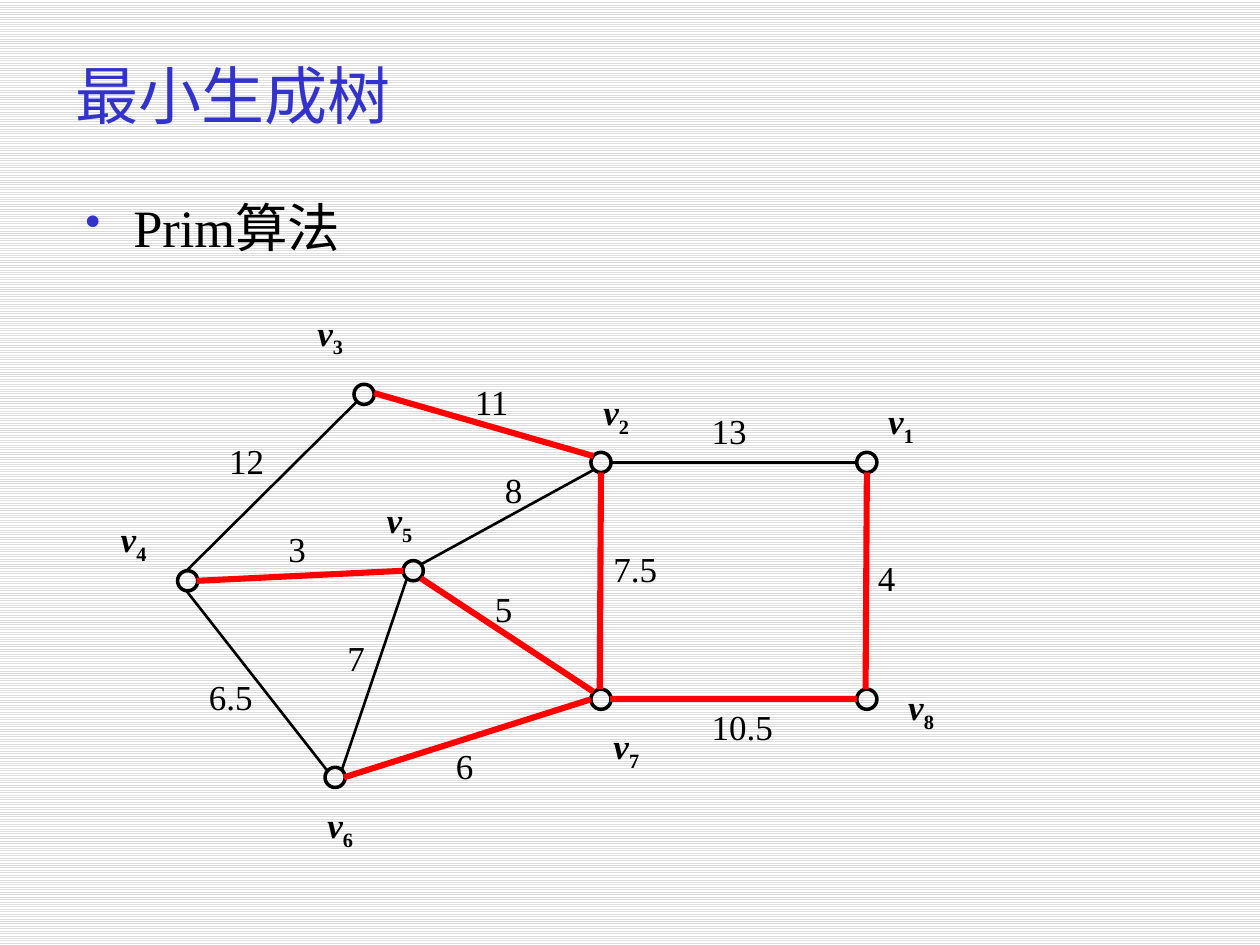
import pptx
import pptx.util
import pptx.dml.color
import pptx.enum.dml
import pptx.enum.shapes
import pptx.enum.text
import pptx.oxml
import pptx.oxml.ns
from pptx.util import Inches

BLACK = pptx.dml.color.RGBColor(0x00, 0x00, 0x00)
RED = pptx.dml.color.RGBColor(0xFF, 0x00, 0x00)
BLUE = pptx.dml.color.RGBColor(0x33, 0x33, 0xCC)
WHITE = pptx.dml.color.RGBColor(0xFF, 0xFF, 0xFF)
STRIPE = pptx.dml.color.RGBColor(0xDD, 0xDD, 0xDD)
FONT = "Times New Roman"
NODE_SIZE = 0.16

presentation = pptx.Presentation()
presentation.slide_width = Inches(10)
presentation.slide_height = Inches(7.5)
slide = presentation.slides.add_slide(presentation.slide_layouts[6])

background = slide.background.fill
background.patterned()
background.pattern = pptx.enum.dml.MSO_PATTERN.LIGHT_HORIZONTAL
background.fore_color.rgb = STRIPE
background.back_color.rgb = WHITE


def add_text(left, top, width, height, wrap=False):
    box = slide.shapes.add_textbox(Inches(left), Inches(top), Inches(width), Inches(height))
    box.text_frame.word_wrap = wrap
    return box.text_frame


def add_run(paragraph, text, size, color=BLACK, bold=False, italic=False):
    run = paragraph.add_run()
    run.text = text
    run.font.name = FONT
    run.font.size = pptx.util.Pt(size)
    run.font.color.rgb = color
    run.font.bold = bold
    run.font.italic = italic
    return run


title = add_text(0.5, 0.25, 8.5, 1, wrap=True)
title.vertical_anchor = pptx.enum.text.MSO_ANCHOR.MIDDLE
add_run(title.paragraphs[0], "最小生成树", 36, BLUE)

body = add_text(0.58, 1.5, 8.5, 5.33, wrap=True)
bullet_paragraph = body.paragraphs[0]
add_run(bullet_paragraph, "Prim算法", 30)
bullet_paragraph.space_before = pptx.util.Pt(6)
properties = bullet_paragraph._p.get_or_add_pPr()
properties.set("marL", str(Inches(0.38)))
properties.set("indent", str(Inches(-0.38)))
namespace = pptx.oxml.ns.nsdecls("a")
for bullet in (
    f'<a:buClr {namespace}><a:srgbClr val="{BLUE}"/></a:buClr>',
    f'<a:buSzPct {namespace} val="85000"/>',
    f'<a:buChar {namespace} char="•"/>',
):
    properties.append(pptx.oxml.parse_xml(bullet))

nodes = [
    ("3", 2.81, 3.05, 2.42, 2.42),
    ("2", 4.69, 3.59, 4.69, 3.05),
    ("1", 6.8, 3.59, 6.95, 3.12),
    ("8", 6.8, 5.47, 7.11, 5.39),
    ("7", 4.69, 5.47, 4.77, 5.7),
    ("6", 2.58, 6.09, 2.5, 6.33),
    ("4", 1.41, 4.53, 0.86, 4.06),
    ("5", 3.2, 4.45, 2.97, 3.91),
]
for index, left, top, label_left, label_top in nodes:
    node = slide.shapes.add_shape(
        pptx.enum.shapes.MSO_SHAPE.OVAL,
        Inches(left), Inches(top), Inches(NODE_SIZE), Inches(NODE_SIZE))
    node.shadow.inherit = False
    node.fill.background()
    node.line.color.rgb = BLACK
    node.line.width = pptx.util.Pt(2)

    label = add_text(label_left, label_top, 0.42, 0.44).paragraphs[0]
    add_run(label, "v", 20, bold=True, italic=True)
    subscript = add_run(label, index, 20, bold=True)
    subscript.font._element.set("baseline", "-25000")

other_edges = [
    ("13", 4.84, 3.67, 6.8, 3.67, 5.55, 3.2, 0.48),
    ("12", 2.84, 3.18, 1.48, 4.53, 1.72, 3.44, 0.48),
    ("8", 3.34, 4.48, 4.71, 3.73, 3.91, 3.67, 0.34),
    ("6.5", 1.48, 4.69, 2.6, 6.12, 1.56, 5.31, 0.55),
    ("7", 2.71, 6.12, 3.23, 4.59, 2.66, 5, 0.36),
]
tree_edges = [
    ("4", 6.88, 3.75, 6.87, 5.47, 6.87, 4.37, 0.34),
    ("10.5", 4.84, 5.55, 6.8, 5.55, 5.55, 5.55, 0.69),
    ("5", 3.34, 4.59, 4.71, 5.49, 3.83, 4.61, 0.34),
    ("3", 1.56, 4.61, 3.2, 4.53, 2.19, 4.14, 0.34),
    ("6", 2.73, 6.17, 4.69, 5.55, 3.52, 5.86, 0.34),
    ("7.5", 4.76, 5.47, 4.77, 3.75, 4.77, 4.3, 0.55),
    ("11", 4.71, 3.62, 2.97, 3.12, 3.67, 2.97, 0.47),
]
for edges, color, line_width in ((other_edges, BLACK, 1.5), (tree_edges, RED, 3.5)):
    for weight, x1, y1, x2, y2, label_left, label_top, label_width in edges:
        edge = slide.shapes.add_connector(
            pptx.enum.shapes.MSO_CONNECTOR.STRAIGHT,
            Inches(x1), Inches(y1), Inches(x2), Inches(y2))
        edge.line.color.rgb = color
        edge.line.width = pptx.util.Pt(line_width)
        edge._element.spPr.append(pptx.oxml.parse_xml(f"<a:effectLst {namespace}/>"))

        label = add_text(label_left, label_top, label_width, 0.44)
        add_run(label.paragraphs[0], weight, 20)

presentation.save("out.pptx")
